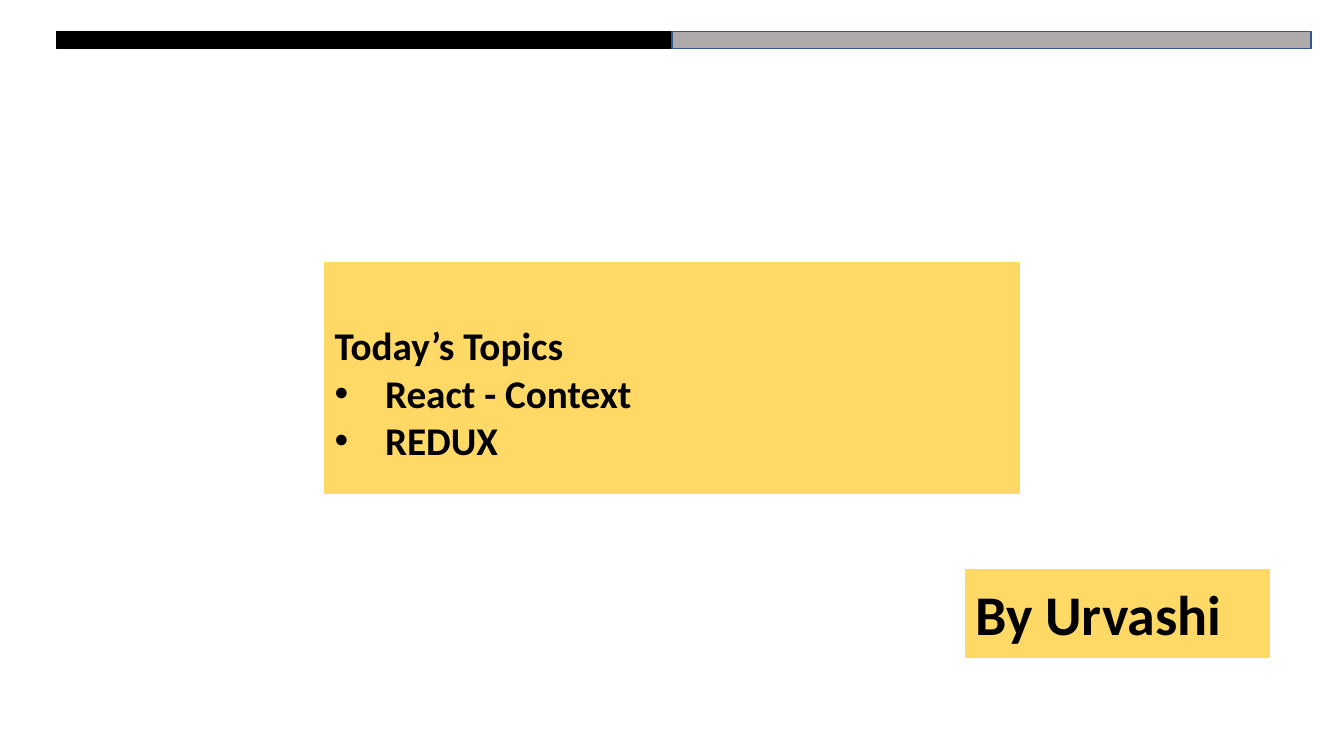
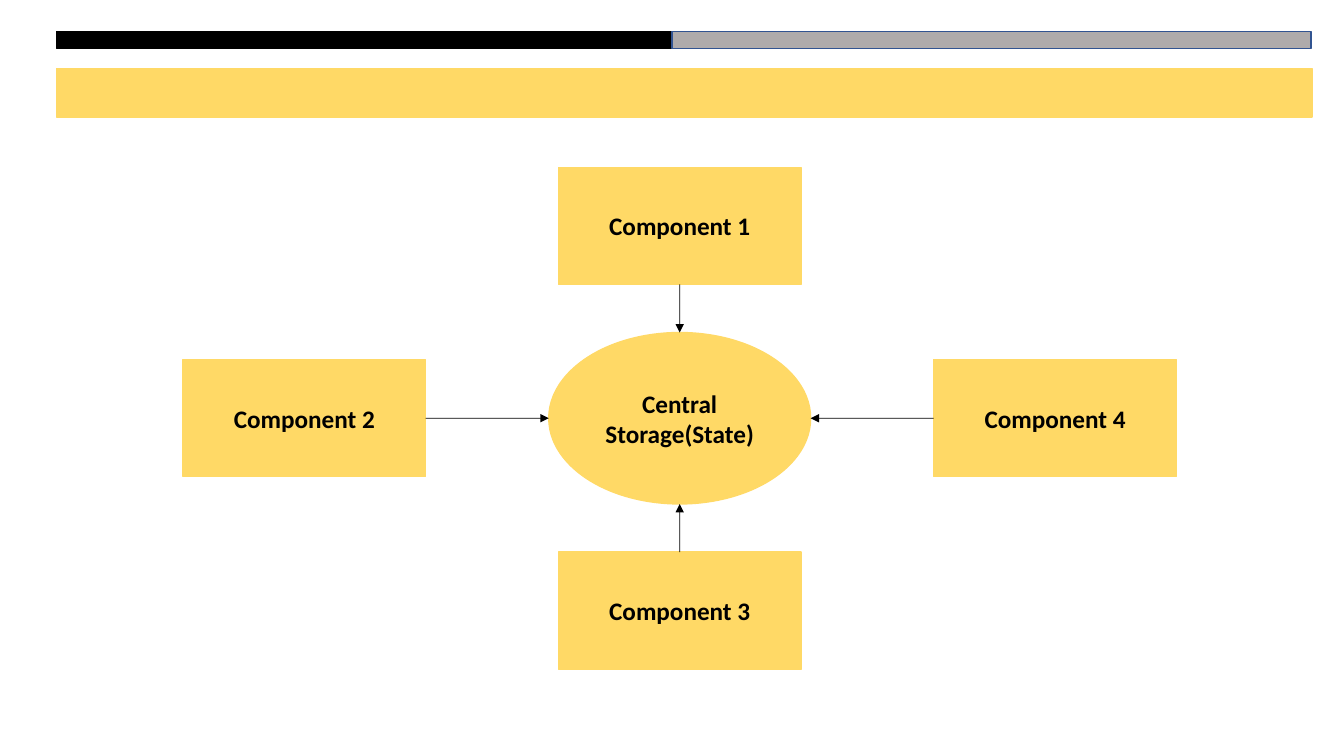
from lxml.etree import SubElement
from pptx import Presentation
from pptx.dml.color import RGBColor
from pptx.enum.shapes import MSO_CONNECTOR, MSO_SHAPE
from pptx.enum.text import MSO_ANCHOR, MSO_AUTO_SIZE, PP_ALIGN
from pptx.oxml.ns import qn
from pptx.util import Cm, Pt

COLORS = {
    "yellow": "FFD966",
    "black": "000000",
    "gray": "AFABAB",
    "blue": "325491",
}
FONT = "Calibri"
TITLE_AND_BODY, BLANK = 1, 6


class Deck:
    """Holds the shared style and the slide being built."""

    def __init__(self):
        self.presentation = Presentation()
        self.presentation.slide_width = Cm(33.87)
        self.presentation.slide_height = Cm(19.05)
        self.slide = None

    def color(self, name):
        return RGBColor.from_string(COLORS[name])

    def add_slide(self, layout):
        layouts = self.presentation.slide_layouts
        self.slide = self.presentation.slides.add_slide(layouts[layout])

    def add_bars(self):
        """Two-tone bar along the top of every slide."""
        self.add_box(1.42, 0.79, 21.16, 0.43, fill="black", line="black")
        self.add_box(16.94, 0.79, 16.1, 0.43, fill="gray", line="blue")

    def add_box(self, left, top, width, height, text=None, size=18,
                align=PP_ALIGN.CENTER, kind=MSO_SHAPE.RECTANGLE,
                fill="yellow", line="yellow"):
        shape = self.slide.shapes.add_shape(
            kind, Cm(left), Cm(top), Cm(width), Cm(height))
        shape.shadow.inherit = False
        shape.fill.solid()
        shape.fill.fore_color.rgb = self.color(fill)
        shape.line.color.rgb = self.color(line)
        shape.line.width = Pt(1)
        if text:
            shape.text_frame.word_wrap = True
            shape.text_frame.vertical_anchor = MSO_ANCHOR.MIDDLE
            self.add_text(shape.text_frame.paragraphs[0], text, size, align)
        return shape

    def add_text(self, paragraph, text, size, align):
        paragraph.alignment = align
        paragraph.line_spacing = 1.0
        paragraph.space_before = Pt(0)
        run = paragraph.add_run()
        run.text = text
        run.font.name = FONT
        run.font.size = Pt(size)
        run.font.bold = True
        run.font.color.rgb = self.color("black")

    def fill_placeholder(self, index, left, top, width, height, lines, size,
                         bullets=False):
        shape = self.slide.placeholders[index]
        shape.left, shape.top = Cm(left), Cm(top)
        shape.width, shape.height = Cm(width), Cm(height)
        frame = shape.text_frame
        frame.word_wrap = True
        frame.auto_size = MSO_AUTO_SIZE.NONE
        frame.vertical_anchor = MSO_ANCHOR.TOP
        frame.margin_top = frame.margin_bottom = 0
        for number, line in enumerate(lines):
            paragraph = frame.add_paragraph() if number else frame.paragraphs[0]
            self.add_text(paragraph, line, size, PP_ALIGN.LEFT)
            if bullets:
                self.add_bullet(paragraph)

    def add_bullet(self, paragraph):
        properties = paragraph._p.get_or_add_pPr()
        properties.set("marL", str(Cm(1.27)))
        properties.set("indent", str(-Cm(1.27)))
        SubElement(properties, qn("a:buFont"), typeface="Arial")
        SubElement(properties, qn("a:buChar"), char="•")

    def add_arrow(self, box, site, end_x, end_y):
        """Arrow from the middle of a box side to a point."""
        connector = self.slide.shapes.add_connector(
            MSO_CONNECTOR.STRAIGHT, box.left, box.top, Cm(end_x), Cm(end_y))
        connector.begin_connect(box, site)
        connector.line.color.rgb = self.color("black")
        connector.line.width = Pt(0.5)
        SubElement(connector.line._get_or_add_ln(), qn("a:tailEnd"),
                   type="triangle")
        SubElement(connector._element.spPr, qn("a:effectLst"))


def build_topics(deck):
    deck.add_slide(TITLE_AND_BODY)
    left, width = 8.18, 17.5
    # Yellow panel, behind the title and the list
    panel = deck.add_box(left, 6.63, width, 5.79)
    deck.slide.shapes._spTree.insert(2, panel._element)
    deck.fill_placeholder(0, left, 8.1, width, 1.2, ["Today’s Topics"], 28)
    deck.fill_placeholder(1, left, 9.3, width, 2.4,
                          ["React - Context", "REDUX"], 28, bullets=True)
    deck.add_bars()
    # Author
    deck.add_box(24.33, 14.35, 7.65, 2.21, "By Urvashi", 40, PP_ALIGN.LEFT)


def build_storage_diagram(deck):
    deck.add_slide(BLANK)
    deck.add_box(1.42, 1.73, 31.65, 1.22)
    deck.add_bars()

    # Central store
    center_x, center_y = 17.13, 10.54
    store_width, store_height = 6.6, 4.32
    deck.add_box(center_x - store_width / 2, center_y - store_height / 2,
                 store_width, store_height, "Central Storage(State)",
                 kind=MSO_SHAPE.OVAL)

    # Components around it: number, direction from the center, side facing it
    box_width, box_height = 6.12, 2.95
    step_x, step_y = 9.46, 4.85
    components = [(1, 0, -1, 2), (2, -1, 0, 3), (3, 0, 1, 0), (4, 1, 0, 1)]
    for number, across, down, site in components:
        box = deck.add_box(center_x + across * step_x - box_width / 2,
                           center_y + down * step_y - box_height / 2,
                           box_width, box_height, f"Component {number}")
        deck.add_arrow(box, site, center_x + across * store_width / 2,
                       center_y + down * store_height / 2)


def main():
    deck = Deck()
    build_topics(deck)
    build_storage_diagram(deck)
    deck.presentation.save("out.pptx")


if __name__ == "__main__":
    main()
